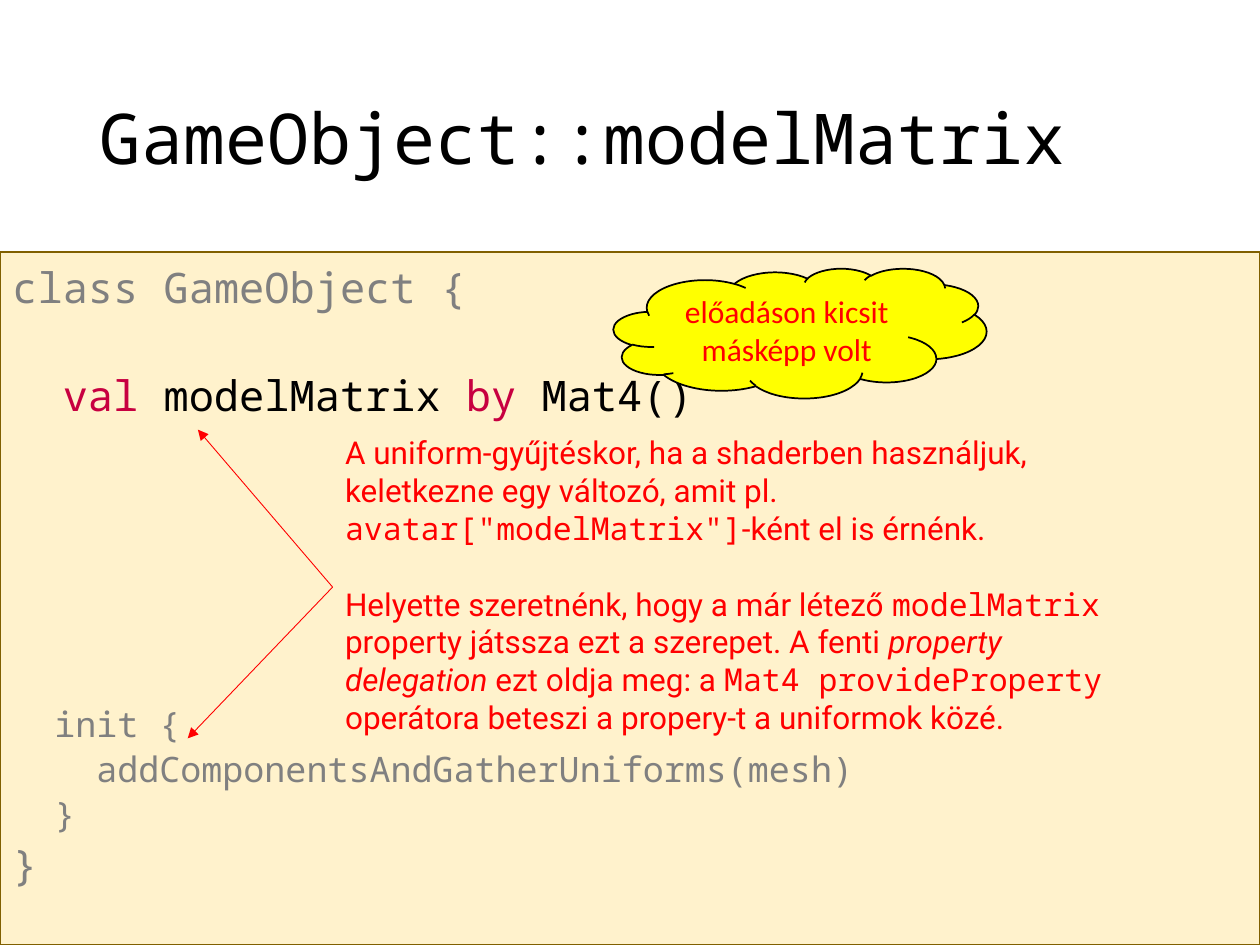
from collections import namedtuple

from lxml import etree
from pptx import Presentation
from pptx.dml.color import RGBColor
from pptx.enum.shapes import MSO_CONNECTOR, MSO_SHAPE
from pptx.enum.text import MSO_ANCHOR, MSO_AUTO_SIZE, PP_ALIGN
from pptx.oxml.ns import qn
from pptx.util import Inches, Pt

RECTANGLE, CLOUD = MSO_SHAPE.RECTANGLE, MSO_SHAPE.CLOUD
STRAIGHT = MSO_CONNECTOR.STRAIGHT
TOP, MIDDLE = MSO_ANCHOR.TOP, MSO_ANCHOR.MIDDLE
LEFT, CENTER = PP_ALIGN.LEFT, PP_ALIGN.CENTER
NO_FIT = MSO_AUTO_SIZE.NONE

COLORS = {
    "text": "000000",
    "muted": "808080",
    "keyword": "C70040",
    "note": "FF0000",
    "panel": "FFF2CC",
    "panel_line": "806000",
    "cloud": "FFFF00",
}
MONO, SANS, CLOUD_FONT = "Noto Sans Mono", "Roboto", "Calibri"
COLUMNS, ROWS = 100, 75
WIDTH, HEIGHT = Inches(10), Inches(7.5)
MONO_ADVANCE = 0.6

Box = namedtuple("Box", "left top width height")
CodeLine = namedtuple("CodeLine", "size indent space_before words")

CODE = [
    CodeLine(24, 0, 0, [("class GameObject {", "muted")]),
    CodeLine(24, 2, 30.8, [("val ", "keyword"), ("modelMatrix ", "text"),
                           ("by ", "keyword"), ("Mat4()", "text")]),
    CodeLine(20, 2, 160, [("init {", "muted")]),
    CodeLine(20, 4, 0, [("addComponentsAndGatherUniforms(mesh)", "muted")]),
    CodeLine(20, 2, 0, [("}", "muted")]),
    CodeLine(24, 0, 0, [("}", "muted")]),
]
EXPLANATION = [
    [("A uniform-gyűjtéskor, ha a shaderben használjuk, "
      "keletkezne egy változó, amit pl. ", SANS, False),
     ('avatar["modelMatrix"]', MONO, False),
     ("-ként el is érnénk.", SANS, False)],
    [("Helyette szeretnénk, hogy a már létező ", SANS, False),
     ("modelMatrix ", MONO, False),
     ("property játssza ezt a szerepet. A fenti ", SANS, False),
     ("property delegation", SANS, True),
     (" ezt oldja meg: a ", SANS, False),
     ("Mat4 provideProperty", MONO, False),
     (" operátora beteszi a propery-t a uniformok közé.", SANS, False)],
]


def grid_box(left, top, width, height):
    """Return a box in slide units from columns and rows."""
    column, row = WIDTH / COLUMNS, HEIGHT / ROWS
    return Box(*(round(length) for length in
                 (left * column, top * row, width * column, height * row)))


def color(name):
    """Return the named colour."""
    return RGBColor.from_string(COLORS[name])


def add_run(paragraph, text, size, font_name, color_name, italic=False):
    """Add one formatted run to a paragraph."""
    run = paragraph.add_run()
    run.text = text
    run.font.size = Pt(size)
    run.font.name = font_name
    run.font.italic = italic
    run.font.color.rgb = color(color_name)


def paragraphs_for(frame, items):
    """Yield each item with a paragraph of its own."""
    for index, item in enumerate(items):
        yield (frame.add_paragraph() if index else frame.paragraphs[0]), item


def add_filled_shape(slide, preset, box, fill, line, line_width, anchor):
    """Add a filled and outlined shape with wrapped text."""
    shape = slide.shapes.add_shape(preset, *box)
    shape.shadow.inherit = False
    shape.fill.solid()
    shape.fill.fore_color.rgb = color(fill)
    shape.line.color.rgb = color(line)
    shape.line.width = Pt(line_width)
    shape.text_frame.word_wrap = True
    shape.text_frame.vertical_anchor = anchor
    return shape


def place_title(slide, box):
    """Move the title placeholder into its box and fill it."""
    title = slide.shapes.title
    title.left, title.top, title.width, title.height = box
    frame = title.text_frame
    frame.auto_size = NO_FIT
    frame.vertical_anchor = MIDDLE
    paragraph = frame.paragraphs[0]
    paragraph.alignment = LEFT
    paragraph.line_spacing = 0.9
    add_run(paragraph, "GameObject::modelMatrix", 40, MONO, "text")


def place_code(slide, box):
    """Place the code panel with its indented lines."""
    panel = add_filled_shape(slide, RECTANGLE, box, "panel", "panel_line", 0.75, TOP)
    for paragraph, line in paragraphs_for(panel.text_frame, CODE):
        paragraph.alignment = LEFT
        paragraph.line_spacing = 1.07
        paragraph.space_before = Pt(line.space_before)
        indent = Pt(line.indent * line.size * MONO_ADVANCE)
        paragraph._p.get_or_add_pPr().set("marL", str(int(indent)))
        for text, color_name in line.words:
            add_run(paragraph, text, line.size, MONO, color_name)


def place_explanation(slide, box):
    """Place the explanatory text over the code panel."""
    frame = slide.shapes.add_textbox(*box).text_frame
    frame.word_wrap = True
    for paragraph, phrases in paragraphs_for(frame, EXPLANATION):
        paragraph.space_before = Pt(0 if phrases is EXPLANATION[0] else 21.6)
        for text, font_name, italic in phrases:
            add_run(paragraph, text, 18, font_name, "note", italic)


def place_arrows(slide, box):
    """Draw two arrows from the right edge to the box's upper and lower ends."""
    start = box.left + box.width, box.top + round(box.height * 0.51)
    targets = [(box.left + round(box.width * 0.07), box.top),
               (box.left, box.top + box.height)]
    for target in targets:
        arrow = slide.shapes.add_connector(STRAIGHT, *start, *target)
        arrow.line.color.rgb = color("note")
        arrow.line.width = Pt(0.5)
        etree.SubElement(arrow.line._get_or_add_ln(), qn("a:tailEnd"), type="triangle")
        etree.SubElement(arrow._element.spPr, qn("a:effectLst"))


def place_cloud(slide, box):
    """Place the cloud remark."""
    cloud = add_filled_shape(slide, CLOUD, box, "cloud", "text", 1, MIDDLE)
    paragraph = cloud.text_frame.paragraphs[0]
    paragraph.alignment = CENTER
    add_run(paragraph, "előadáson kicsit másképp volt", 18, CLOUD_FONT, "note")


def main():
    """Build the slide and save it."""
    presentation = Presentation()
    presentation.slide_width, presentation.slide_height = WIDTH, HEIGHT
    slide = presentation.slides.add_slide(
        presentation.slide_layouts.get_by_name("Title Only"))
    place_title(slide, grid_box(6.9, 4, 86.2, 14.5))
    place_code(slide, grid_box(0, 20, 100, 55))
    place_explanation(slide, grid_box(26.4, 33.9, 63.2, 25.2))
    place_arrows(slide, grid_box(14.9, 34.1, 11.5, 24.5))
    place_cloud(slide, grid_box(48.7, 21.3, 29.6, 10.3))
    presentation.save("out.pptx")


if __name__ == "__main__":
    main()
